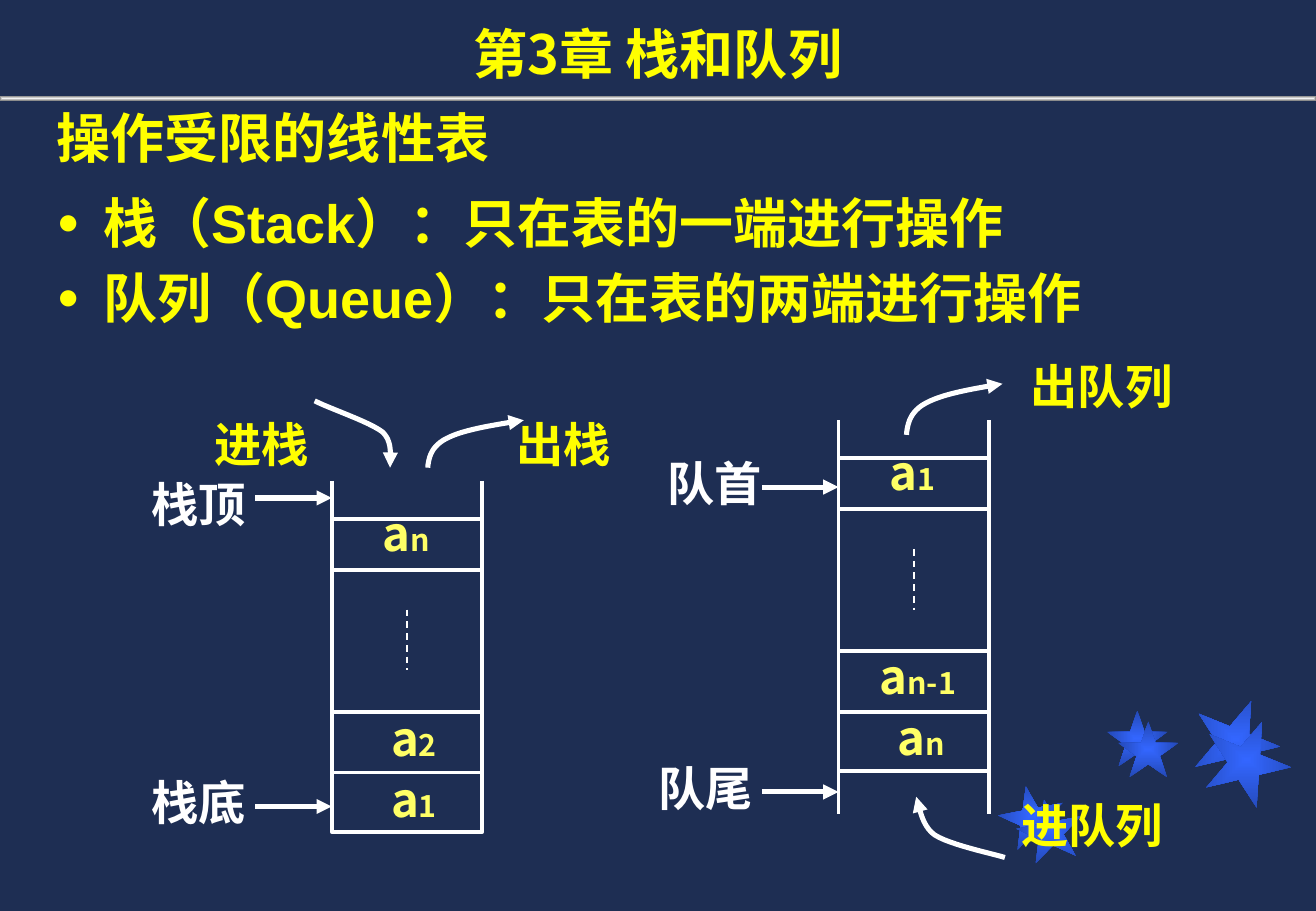
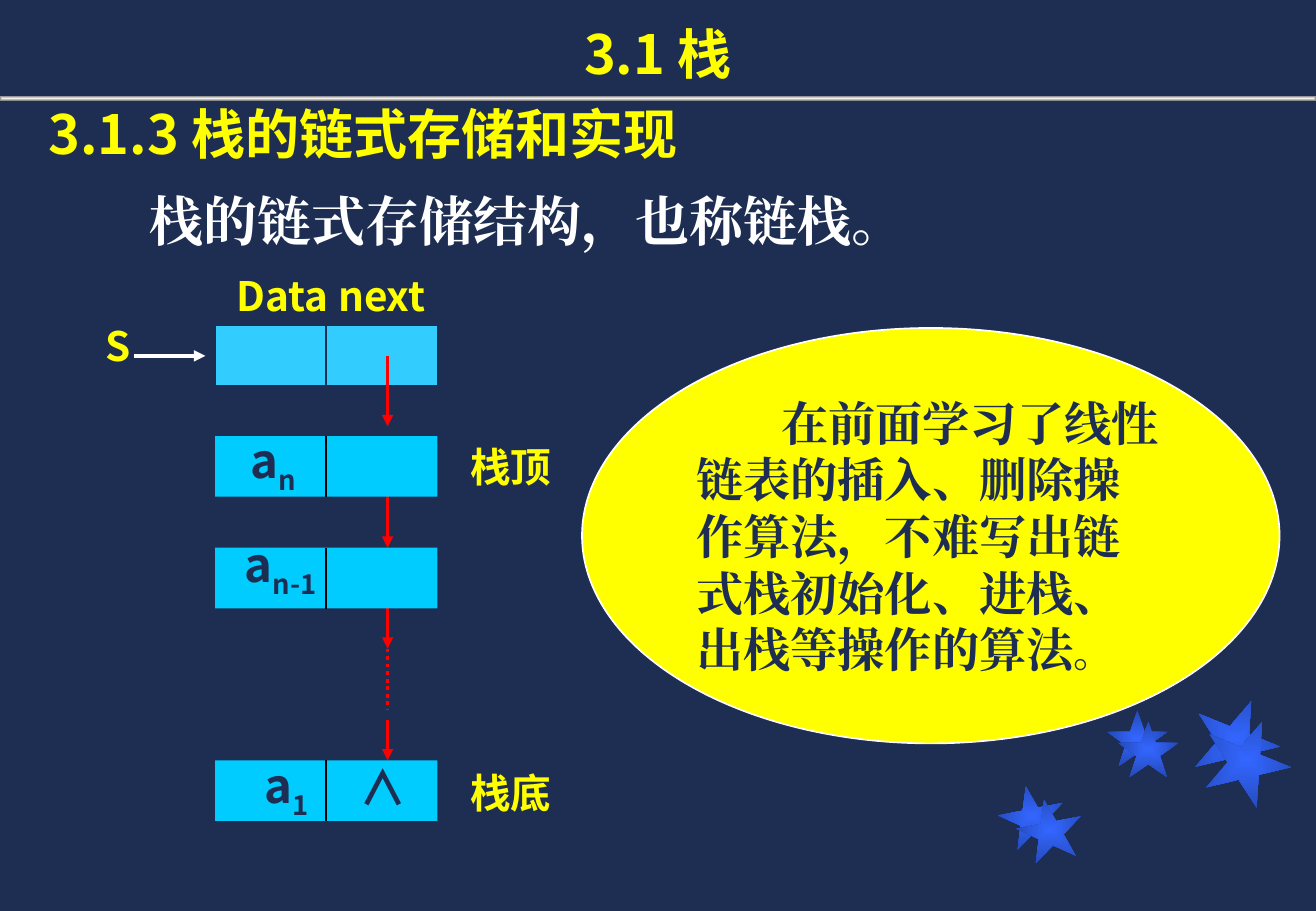
from pptx import Presentation
from pptx.dml.color import RGBColor
from pptx.enum.dml import MSO_LINE_DASH_STYLE as DASH
from pptx.enum.shapes import MSO_CONNECTOR as CONN, MSO_SHAPE as SHAPE
from pptx.enum.text import MSO_ANCHOR as ANCHOR, PP_ALIGN as ALIGN
from pptx.oxml.ns import qn
from pptx.util import Inches, Pt
from lxml.etree import SubElement

NAVY = RGBColor(0x1E, 0x2E, 0x53)
YELLOW = RGBColor(0xFF, 0xFF, 0x00)
PALE_YELLOW = RGBColor(0xFF, 0xFF, 0x66)
WHITE = RGBColor(0xFF, 0xFF, 0xFF)
BLACK = RGBColor(0x00, 0x00, 0x00)
RED = RGBColor(0xFF, 0x00, 0x00)
CYAN = RGBColor(0x00, 0xCC, 0xFF)
LIGHT_CYAN = RGBColor(0x33, 0xCC, 0xFF)
STAR_COLORS = RGBColor(0x33, 0x66, 0xFF), RGBColor(0x24, 0x49, 0xB6)
RULE_COLORS = RGBColor(0xF2, 0xF2, 0xF2), RGBColor(0x80, 0x80, 0x80)

NOTO, ARIAL, TIMES = "Noto Sans CJK SC", "Arial", "Times New Roman"
WIDTH, HEIGHT = 10.83, 7.5
STARS = [
    (8.22, 6.47, 0.54, 0.5, 349), (9.11, 5.85, 0.5, 0.46, 0),
    (9.81, 5.75, 0.72, 0.67, 22), (8.37, 6.58, 0.54, 0.5, 349),
    (9.2, 5.94, 0.5, 0.46, 0), (9.9, 5.92, 0.72, 0.67, 22),
]
CURVE_OUT = [(0, 1), (0.01, 0.78), (0.04, 0.54), (0.2, 0.38),
             (0.37, 0.2), (0.68, 0.1), (1, 0)]
CURVE_PUSH = [(0, 0), (0.17, 0.11), (0.68, 0.31), (0.85, 0.47),
              (1, 0.65), (0.92, 0.93), (0.94, 1)]
CURVE_ENQUEUE = [(1, 1), (0.84, 0.93), (0.38, 0.79), (0.21, 0.63),
                 (0.05, 0.47), (0.03, 0.1), (0, 0)]


def inches(*values):
    """Turn several numbers into lengths."""
    return [Inches(v) for v in values]


def add_run(p, text, size, color, font=NOTO, baseline=0):
    """Append a bold run, with the same font for Latin and Chinese."""
    r = p.add_run()
    r.text = text
    formats = {"size": Pt(size), "bold": True, "name": font}
    for name, value in formats.items():
        setattr(r.font, name, value)
    r.font.color.rgb = color
    rpr = r.font._element
    SubElement(rpr, qn("a:ea")).set("typeface", font)
    if baseline:
        rpr.set("baseline", str(baseline * 1000))


def add_text(s, box, text, size=28, color=YELLOW, font=NOTO, sub="",
             sub_size=None, baseline=0, anchor=ANCHOR.TOP, **formats):
    """Place one paragraph, with an optional subscript, in a text box."""
    tf = s.shapes.add_textbox(*inches(*box)).text_frame
    tf.word_wrap = True
    tf.vertical_anchor = anchor
    p = tf.paragraphs[0]
    for name, value in formats.items():
        setattr(p, name, value)
    add_run(p, text, size, color, font)
    if sub:
        add_run(p, sub, sub_size or size, color, font, baseline)


def add_shape(s, kind, box, fill=None, line=None):
    """Place a preset shape with plain fill and line."""
    sp = s.shapes.add_shape(kind, *inches(*box))
    sp.shadow.inherit = False
    if fill is None:
        sp.fill.background()
    else:
        sp.fill.solid()
        sp.fill.fore_color.rgb = fill
    style_line(sp, line, 1)
    return sp


def style_line(sp, color, width, dash=None, arrow=False):
    """Set colour, width, dash and end arrow of an outline."""
    if color is None:
        sp.line.fill.background()
        return
    sp.line.color.rgb = color
    sp.line.width = Pt(width)
    if dash:
        sp.line.dash_style = dash
    if arrow:
        ln = sp._element.spPr.find(qn("a:ln"))
        SubElement(ln, qn("a:tailEnd")).set("type", "triangle")


def add_line(s, x1, y1, x2, y2, color=WHITE, width=2.25, **style):
    """Draw a straight connector."""
    sp = s.shapes.add_connector(CONN.STRAIGHT, *inches(x1, y1, x2, y2))
    style_line(sp, color, width, **style)
    SubElement(sp._element.spPr, qn("a:effectLst"))


def add_curve(s, box, controls, steps=12):
    """Draw a chain of Bezier curves, scaled to the box, with an arrow."""
    x, y, w, h = box
    points = [controls[0]]
    for i in range(0, len(controls) - 1, 3):
        a, b, c, d = controls[i:i + 4]
        for k in range(1, steps + 1):
            t = k / steps
            u = 1 - t
            points.append([u**3 * a[j] + 3 * u * u * t * b[j]
                           + 3 * u * t * t * c[j] + t**3 * d[j] for j in (0, 1)])
    points = [inches(x + w * px, y + h * py) for px, py in points]
    builder = s.shapes.build_freeform(*points[0])
    builder.add_line_segments(points[1:], close=False)
    sp = builder.convert_to_shape()
    sp.shadow.inherit = False
    sp.fill.background()
    style_line(sp, WHITE, 3, arrow=True)


def add_glow(s, kind, box, colors, rotation=0):
    """Place a shape whose gradient spreads from its centre."""
    sp = add_shape(s, kind, box)
    sp.rotation = rotation
    sp.fill.gradient()
    for stop, color, position in zip(sp.fill.gradient_stops, colors, (0, 1)):
        stop.color.rgb = color
        stop.position = position
    grad = sp._element.spPr.find(qn("a:gradFill"))
    grad.remove(grad.find(qn("a:lin")))
    spread = SubElement(grad, qn("a:path"))
    spread.set("path", "shape")
    focus = SubElement(spread, qn("a:fillToRect"))
    for side in "ltrb":
        focus.set(side, "50000")


def new_slide(prs, title):
    """Add a slide with the stars, the rule and the title."""
    s = prs.slides.add_slide(prs.slide_layouts[6])
    for *box, rotation in STARS:
        add_glow(s, SHAPE.STAR_5_POINT, box, STAR_COLORS, rotation)
    add_glow(s, SHAPE.RECTANGLE, (0, 0.79, WIDTH, 0.04), RULE_COLORS)
    add_text(s, (0, 0, WIDTH, 0.75), title, 32, anchor=ANCHOR.BOTTOM,
             alignment=ALIGN.CENTER)
    return s


def add_body(s, box, heading, bullets):
    """Place a heading followed by bulleted lines."""
    tf = s.shapes.add_textbox(*inches(*box)).text_frame
    tf.word_wrap = True
    add_run(tf.paragraphs[0], heading, 32, YELLOW, ARIAL)
    for text, before in bullets:
        p = tf.add_paragraph()
        p.space_before = Pt(before)
        ppr = p._p.get_or_add_pPr()
        ppr.set("marL", str(Inches(0.38)))
        ppr.set("indent", str(-Inches(0.38)))
        SubElement(ppr, qn("a:buSzPct")).set("val", "70000")
        SubElement(ppr, qn("a:buFont")).set("typeface", ARIAL)
        SubElement(ppr, qn("a:buChar")).set("char", "●")
        add_run(p, text, 32, YELLOW, ARIAL)


def add_column(s, x, y, cells, open_bottom=False):
    """Draw a column of cells open at the top, and perhaps at the bottom."""
    w, h, stub = 1.24, 2.58, 0.35
    add_shape(s, SHAPE.RECTANGLE, (x, y, w, h), line=WHITE).line.width = Pt(2.25)
    for dy in (0.42, 1.59, 2.09):
        add_line(s, x, y + dy, x + w, y + dy)
    add_line(s, x + w / 2, y + 0.75, x + w / 2, y + 1.25, width=1, dash=DASH.DASH)
    for top in [y - 0.31] + [y + h] * open_bottom:
        for side in (x, x + w):
            add_line(s, side, top, side, top + stub)
    for sub, dx, dy in cells:
        add_text(s, (x + dx, y + dy, 0.96, 0.57), "a", color=PALE_YELLOW,
                 sub=sub, sub_size=18)


def add_pointer(s, x, y, word, gap=0.61, rise=0.32):
    """Draw a word and an arrow whose tip is at the given point."""
    w = 1.35
    add_text(s, (x - gap - w, y - rise, w, 0.57), word, color=WHITE,
             alignment=ALIGN.RIGHT)
    add_line(s, x - 0.63, y, x, y, width=3, arrow=True)


def add_move(s, word, word_box, curve_box, controls):
    """Draw a curved arrow with its word."""
    add_text(s, word_box, word, alignment=ALIGN.CENTER)
    add_curve(s, curve_box, controls)


def add_node(s, x, y, fill=CYAN, divider=BLACK, outline=None):
    """Draw a list node with a data field and a next field."""
    w, h = 1.83, 0.5
    add_shape(s, SHAPE.RECTANGLE, (x, y, w, h), fill, outline)
    add_line(s, x + w / 2, y, x + w / 2, y + h, divider, 1)


def add_linked_stack(s, x, y):
    """Draw the linked stack below its head node."""
    link = x + 1.42
    for start, end in ((1.25, 1.83), (2.08, 2.66), (3.25, 3.58)):
        add_line(s, link, y + start, link, y + end, RED, arrow=True)
    add_line(s, link, y + 2.66, link, y + 3.16, RED, dash=DASH.ROUND_DOT)
    add_node(s, x, y, LIGHT_CYAN, NAVY, NAVY)
    add_line(s, link, y + 0.25, link, y + 0.83, RED, arrow=True)
    add_line(s, x - 0.67, y + 0.25, x - 0.08, y + 0.25, arrow=True)
    add_text(s, (x + 0.08, y - 0.5, 2.33, 0.5), "Data next", 24)
    add_text(s, (x - 1, y - 0.09, 0.75, 0.5), "S", 24)
    for top, sub, dx, dy in ((0.91, "n", 0.02, -0.09), (1.83, "n-1", 0.08, -0.15),
                             (3.58, "1", 0.13, -0.08)):
        add_node(s, x, y + top)
        add_text(s, (x + dx, y + top + dy, 0.92, 0.57), "a", color=NAVY,
                 sub=sub, baseline=-25, alignment=ALIGN.CENTER)
    add_text(s, (x + 0.92, y + 3.51, 0.92, 0.57), "∧", color=NAVY,
             alignment=ALIGN.CENTER)
    for word, top in (("栈顶", 0.91), ("栈底", 3.59)):
        add_text(s, (x + 2, y + top, 1.08, 0.5), word, 24)


def add_remark(s, box, text, end):
    """Write a remark in a yellow ellipse."""
    tf = add_shape(s, SHAPE.OVAL, box, YELLOW, WHITE).text_frame
    tf.word_wrap = True
    tf.vertical_anchor = ANCHOR.MIDDLE
    p = tf.paragraphs[0]
    p.alignment = ALIGN.LEFT
    p._p.get_or_add_pPr().set("indent", str(Inches(0.7)))
    add_run(p, text, 28, NAVY, TIMES)
    add_run(p, end, 24, NAVY, TIMES)


def overview_slide(prs):
    """Compare the stack with the queue."""
    s = new_slide(prs, "第3章 栈和队列")
    add_body(s, (0.37, 0.81, 10.16, 2.16), "操作受限的线性表", [
        ("栈（Stack）：只在表的一端进行操作", 12),
        ("队列（Queue）：只在表的两端进行操作", 6)])
    add_column(s, 2.73, 4.27, [("n", 0.32, -0.17), ("2", 0.39, 1.52),
                               ("1", 0.39, 2.02)])
    add_pointer(s, 2.73, 4.1, "栈顶", rise=0.24)
    add_pointer(s, 2.73, 6.64, "栈底")
    add_move(s, "出栈", (4.05, 3.37, 1.18, 0.57), (3.52, 3.46, 0.79, 0.39), CURVE_OUT)
    add_move(s, "进栈", (1.61, 3.37, 1.09, 0.57), (2.59, 3.3, 0.66, 0.55), CURVE_PUSH)
    add_column(s, 6.9, 3.77, [("1", 0.32, -0.17), ("n-1", 0.24, 1.51),
                              ("n", 0.39, 2.01)], open_bottom=True)
    add_pointer(s, 6.9, 4.01, "队首", gap=0.53)
    add_pointer(s, 6.9, 6.52, "队尾")
    add_move(s, "出队列", (8.32, 2.89, 1.49, 0.57), (7.46, 3.16, 0.79, 0.42), CURVE_OUT)
    add_move(s, "进队列", (8.24, 6.51, 1.49, 0.57), (7.54, 6.56, 0.73, 0.5),
             CURVE_ENQUEUE)


def linked_slide(prs):
    """Show the linked storage of a stack."""
    s = new_slide(prs, "3.1 栈")
    add_text(s, (0.3, 0.78, 5.8, 0.63), "3.1.3 栈的链式存储和实现", 32)
    add_text(s, (1.13, 1.39, 6.65, 0.74), "栈的链式存储结构，也称链栈。", 32,
             WHITE, TIMES, line_spacing=1.2)
    add_remark(s, (4.79, 2.7, 5.74, 3.42),
               "在前面学习了线性链表的插入、删除操作算法，"
               "不难写出链式栈初始化、进栈、出栈等操作的算法", "。")
    add_linked_stack(s, 1.77, 2.68)


def main():
    """Build and save the presentation."""
    prs = Presentation()
    prs.slide_width, prs.slide_height = inches(WIDTH, HEIGHT)
    fill = prs.slide_master.background.fill
    fill.solid()
    fill.fore_color.rgb = NAVY
    overview_slide(prs)
    linked_slide(prs)
    prs.save("out.pptx")


if __name__ == "__main__":
    main()
